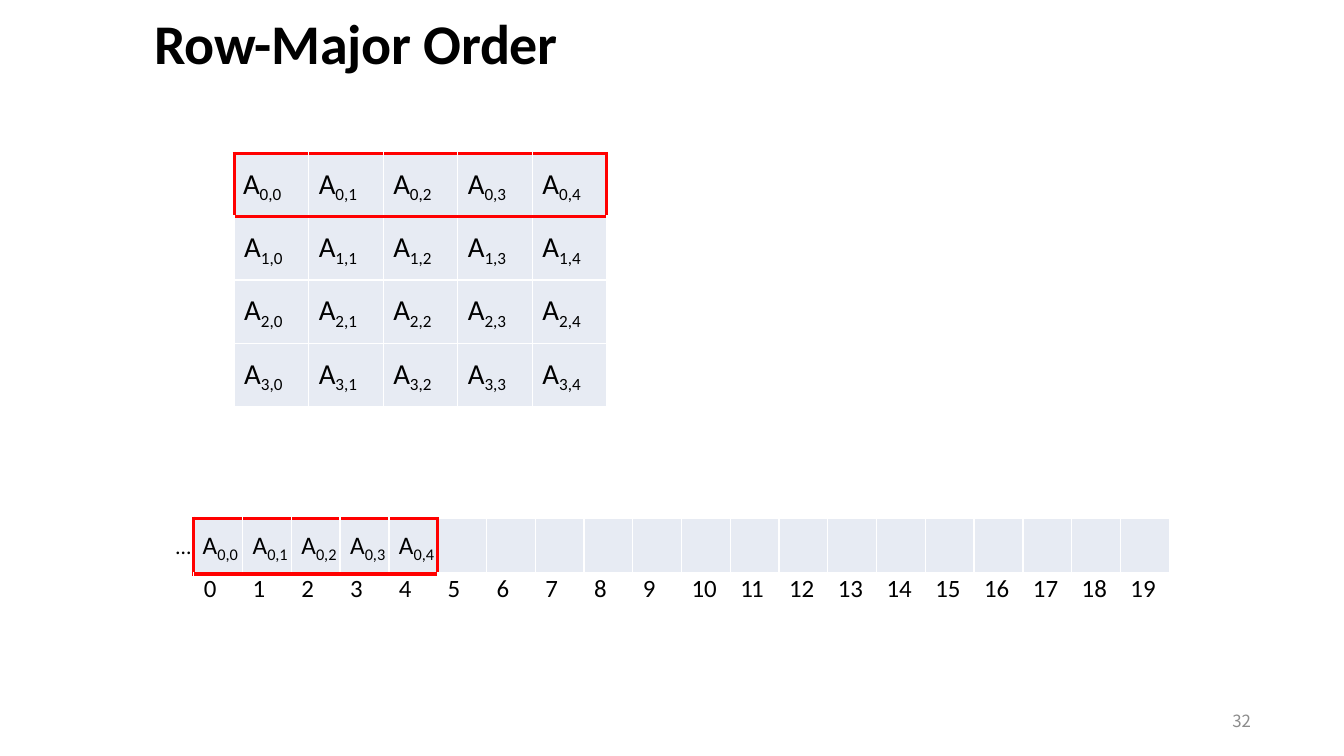
from dataclasses import dataclass

from lxml import etree
from pptx import Presentation
from pptx import util as u
from pptx.dml.color import RGBColor
from pptx.enum import text as t
from pptx.oxml import ns

SLIDE_WIDTH, SLIDE_HEIGHT = u.Inches(12), u.Inches(6.75)
COLORS = {"ink": "000000", "cell": "E7EBF3", "rule": "FFFFFF", "mark": "FF0000", "number": "8C8C8C"}
FONT = "Calibri"
MATRIX_ROWS, MATRIX_COLUMNS = 4, 5
MEMORY_CELLS = MATRIX_ROWS * MATRIX_COLUMNS


@dataclass(frozen=True)
class Area:
    """Percentages of the slide's width and height."""
    left: float
    top: float
    width: float
    height: float

    def emu(self) -> list[int]:
        return [round(SLIDE_WIDTH * self.left / 100), round(SLIDE_HEIGHT * self.top / 100),
                round(SLIDE_WIDTH * self.width / 100), round(SLIDE_HEIGHT * self.height / 100)]


@dataclass(frozen=True)
class Label:
    text: str
    area: Area
    size: float
    color: str = "ink"
    font: str = FONT
    bold: bool = False
    indent: float = 0
    spacing: float = 0
    line: float = 1
    align: t.PP_ALIGN = t.PP_ALIGN.LEFT
    anchor: t.MSO_ANCHOR = t.MSO_ANCHOR.TOP


@dataclass(frozen=True)
class Grid:
    area: Area
    rows: int
    columns: int
    letter_size: float
    index_size: float
    top_rule: float
    bottom_rule: float
    divider: float


TITLE = Label("Row-Major Order", Area(-9, 2.07, 55.25, 8.15), 36, bold=True, indent=2.46,
              spacing=-0.2, line=0.9, anchor=t.MSO_ANCHOR.MIDDLE)
ELLIPSIS = Label("…", Area(13, 70.52, 1.42, 3.56), 14, indent=0.01)
PAGE_NUMBER = Label("32", Area(70.58, 92.74, 22.5, 5.33), 10.8, color="number",
                    font="Noto Sans CJK SC", align=t.PP_ALIGN.RIGHT, anchor=t.MSO_ANCHOR.MIDDLE)
MATRIX = Grid(Area(17.42, 20.3, 27.75, 33.48), MATRIX_ROWS, MATRIX_COLUMNS, 32, 11, 2.42, 2.42, 1)
MEMORY = Grid(Area(14.42, 68.59, 72.58, 14.67), 2, MEMORY_CELLS, 28, 10.5, 2.69, 3.16, 3.16)


def style_run(run, size: float, color: str = "ink", font: str = FONT, **attributes: int) -> None:
    run.font.size, run.font.name = u.Pt(size), font
    run.font.color.rgb = RGBColor.from_string(COLORS[color])
    for name, value in attributes.items():
        run.font._element.set(name, str(value))


def indent_paragraph(paragraph, inches: float) -> None:
    properties = paragraph._p.get_or_add_pPr()
    properties.set("marL", str(u.Inches(inches)))
    properties.set("indent", "0")


def clear_margins(holder) -> None:
    holder.margin_left = holder.margin_top = holder.margin_right = holder.margin_bottom = 0


def draw_label(slide, label: Label) -> None:
    frame = slide.shapes.add_textbox(*label.area.emu()).text_frame
    clear_margins(frame)
    frame.word_wrap, frame.vertical_anchor = True, label.anchor
    frame.text = label.text
    paragraph = frame.paragraphs[0]
    indent_paragraph(paragraph, label.indent)
    paragraph.alignment, paragraph.line_spacing = label.align, label.line
    run = paragraph.runs[0]
    style_run(run, label.size, label.color, label.font, spc=round(label.spacing * 100))
    run.font.bold = label.bold


def draw_border(cell, side: str, color: str, points: float) -> None:
    properties = cell._tc.get_or_add_tcPr()
    border = etree.SubElement(properties, ns.qn(f"a:ln{side}"), w=str(u.Pt(points)))
    fill = etree.SubElement(border, ns.qn("a:solidFill"))
    etree.SubElement(fill, ns.qn("a:srgbClr"), val=COLORS[color])


def draw_borders(cell, grid: Grid, row: int, column: int) -> None:
    marked_column = column < MATRIX_COLUMNS
    marked = {
        "L": row == 0 and column in (0, MATRIX_COLUMNS),
        "R": row == 0 and column == MATRIX_COLUMNS - 1,
        "T": row in (0, 1) and marked_column,
        "B": row == 0 and marked_column,
    }
    mark_widths = {"L": 2.25, "R": 2.25, "T": grid.bottom_rule if row else grid.top_rule,
                   "B": grid.bottom_rule}
    on_divider = {"T": row == 1, "B": row == 0}
    for side, is_marked in marked.items():
        if is_marked:
            draw_border(cell, side, "mark", mark_widths[side])
        else:
            draw_border(cell, side, "rule", grid.divider if on_divider.get(side) else 1)


def write_element(cell, grid: Grid, row: int, column: int) -> None:
    paragraph = cell.text_frame.paragraphs[0]
    indent_paragraph(paragraph, 0.09 if row or column else 0.08)
    paragraph.text = "A"
    style_run(paragraph.runs[0], grid.letter_size, baseline=13000)
    indices = paragraph.add_run()
    indices.text = f"{row},{column}"
    style_run(indices, grid.index_size)


def write_address(cell, address: int) -> None:
    paragraph = cell.text_frame.paragraphs[0]
    indent_paragraph(paragraph, 0.09)
    paragraph.text = str(address)
    style_run(paragraph.runs[0], 16, spc=-120 if address == 11 else 0)


def draw_grid(slide, grid: Grid):
    left, top, width, height = grid.area.emu()
    table = slide.shapes.add_table(grid.rows, grid.columns, left, top, width, height).table
    table.first_row = table.horz_banding = False
    for table_column in table.columns:
        table_column.width = width // grid.columns
    for row, table_row in enumerate(table.rows):
        table_row.height = height // grid.rows
        for column, cell in enumerate(table_row.cells):
            clear_margins(cell)
            draw_borders(cell, grid, row, column)
            cell.fill.solid()
            cell.fill.fore_color.rgb = RGBColor.from_string(COLORS["cell"])
    return table


def main() -> None:
    deck = Presentation()
    deck.slide_width, deck.slide_height = SLIDE_WIDTH, SLIDE_HEIGHT
    slide = deck.slides.add_slide(deck.slide_layouts[6])

    draw_label(slide, ELLIPSIS)
    matrix = draw_grid(slide, MATRIX)
    for row in range(MATRIX_ROWS):
        for column in range(MATRIX_COLUMNS):
            write_element(matrix.cell(row, column), MATRIX, row, column)

    memory = draw_grid(slide, MEMORY)
    for column in range(MATRIX_COLUMNS):
        write_element(memory.cell(0, column), MEMORY, 0, column)
    for address in range(MEMORY_CELLS):
        address_cell = memory.cell(1, address)
        address_cell.fill.background()
        write_address(address_cell, address)

    draw_label(slide, PAGE_NUMBER)
    draw_label(slide, TITLE)
    deck.save("out.pptx")


if __name__ == "__main__":
    main()
